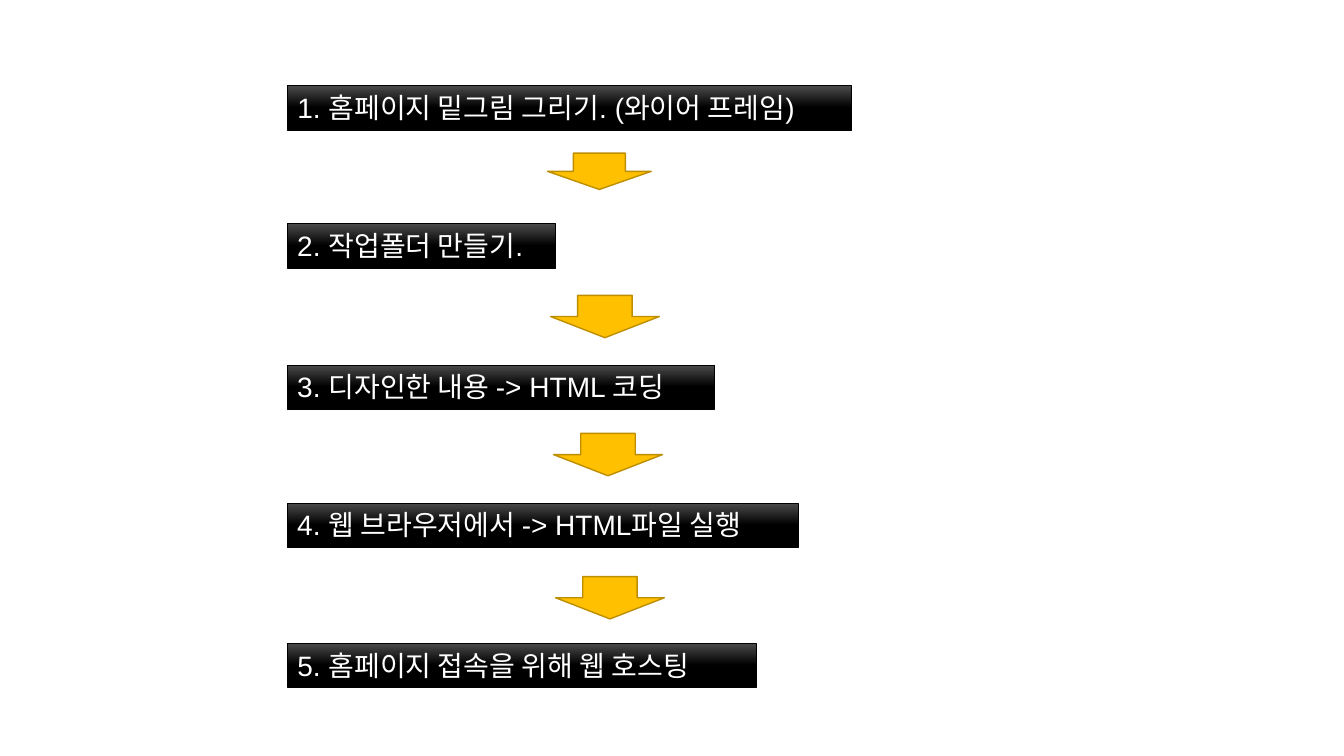
"""Build a slide with five website-building steps joined by down arrows."""
from copy import deepcopy

from pptx import Presentation
from pptx.dml.color import RGBColor
from pptx.enum.shapes import MSO_SHAPE as SHAPE
from pptx.enum.text import MSO_ANCHOR, MSO_AUTO_SIZE, PP_ALIGN
from pptx.util import Inches, Pt

COLORS = {name: RGBColor.from_string(value) for name, value in {
    "bar_top": "4B4B4B", "bar": "000000", "text": "FFFFFF",
    "arrow": "FFC000", "arrow_line": "BD8E00"}.items()}

STEPS = [
    ("1. 홈페이지 밑그림 그리기. (와이어 프레임)", 0.85, 5.59),
    ("2. 작업폴더 만들기.", 2.22, 2.66),
    ("3. 디자인한 내용 -> HTML 코딩", 3.62, 4.24),
    ("4. 웹 브라우저에서 -> HTML파일 실행", 4.99, 5.07),
    ("5. 홈페이지 접속을 위해 웹 호스팅", 6.38, 4.65),
]
ARROWS = [
    (5.43, 1.52, 1.03, 0.36),
    (5.46, 2.93, 1.08, 0.42),
    (5.49, 4.3, 1.08, 0.42),
    (5.51, 5.72, 1.08, 0.42),
]


def add_outlined(kind, box, line_color, line_width):
    sp = s.shapes.add_shape(kind, *[Inches(v) for v in box])
    sp.shadow.inherit = False
    sp.line.color.rgb = COLORS[line_color]
    sp.line.width = Pt(line_width)
    return sp


prs = Presentation()
prs.slide_width, prs.slide_height = Inches(13.33), Inches(7.5)
s = prs.slides.add_slide(prs.slide_layouts[6])

for text, top, width in STEPS:
    sp = add_outlined(SHAPE.RECTANGLE, (2.85, top, width, 0.44), "bar", 0.5)
    sp.fill.gradient()
    sp.fill.gradient_angle = 270
    stop_list = sp.fill._fill._gradFill.gsLst
    stop_list.append(deepcopy(stop_list[-1]))
    stops = zip(sp.fill.gradient_stops, (0, 0.5, 1), ("bar_top", "bar", "bar"))
    for stop, position, color in stops:
        stop.position = position
        stop.color.rgb = COLORS[color]

    tf = sp.text_frame
    tf.text = text
    tf.word_wrap = True
    tf.auto_size = MSO_AUTO_SIZE.SHAPE_TO_FIT_TEXT
    tf.vertical_anchor = MSO_ANCHOR.TOP
    p = tf.paragraphs[0]
    p.alignment = PP_ALIGN.LEFT
    r = p.runs[0]
    r.font.name = "Arial"
    r.font.size = Pt(20)
    r.font.color.rgb = COLORS["text"]

for box in ARROWS:
    sp = add_outlined(SHAPE.DOWN_ARROW, box, "arrow_line", 1)
    sp.fill.solid()
    sp.fill.fore_color.rgb = COLORS["arrow"]

prs.save("out.pptx")
